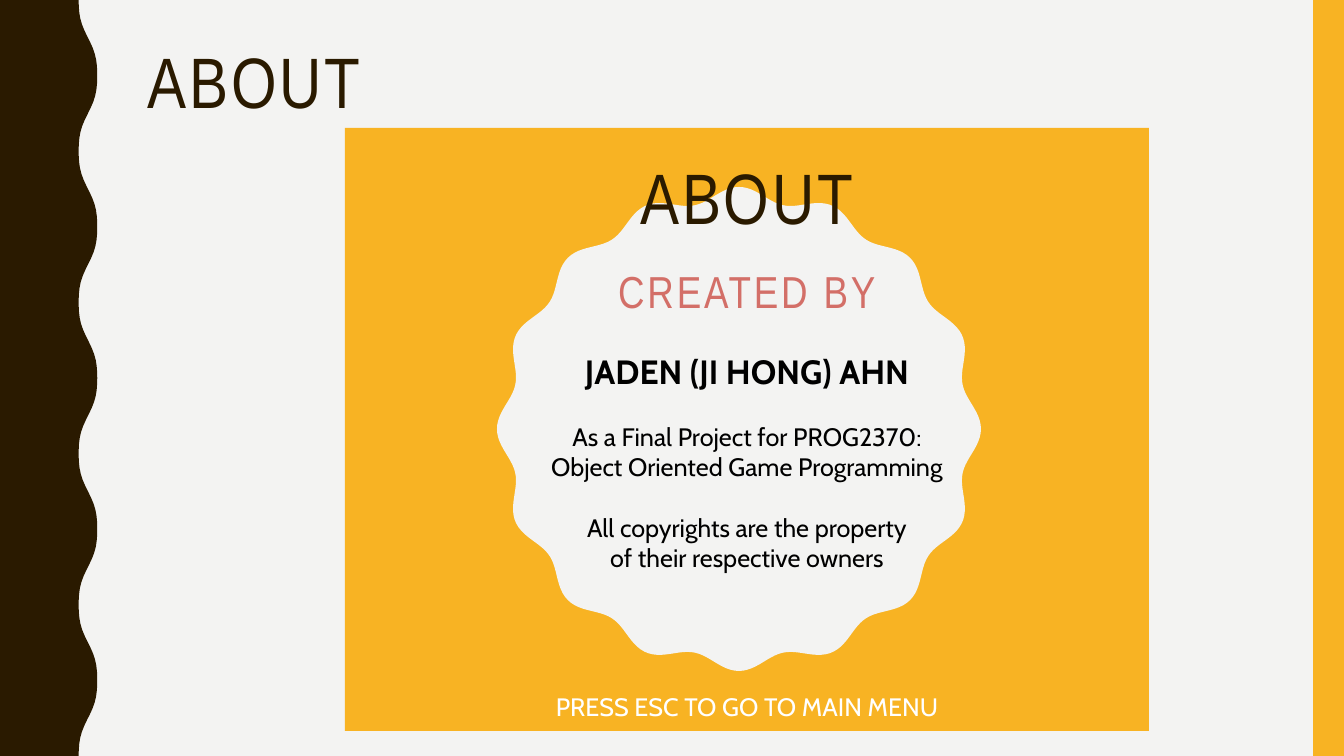
"""Build the About slide: wavy side band, yellow game screen and scalloped badge."""
import math
from pptx import Presentation
from pptx import util as u
from pptx.dml.color import RGBColor
from pptx.enum import shapes, text

WIDTH, HEIGHT = 1344, 756
SCALE = 12192000 / WIDTH
BROWN, YELLOW, PAPER = "2A1A00", "F8B323", "F3F3F2"
CORAL, BLACK, WHITE = "D36F68", "000000", "FFFFFF"

STYLES = {
    "heading": dict(name="Arial Narrow", size=51, color=BROWN, spacing=200, line=0.9),
    "subheading": dict(name="Arial Narrow", size=32, color=CORAL, spacing=200, line=0.9),
    "author": dict(name="Cabin", size=24, color=BLACK, bold=True),
    "body": dict(name="Cabin", size=18, color=BLACK),
    "gap body": dict(name="Cabin", size=18, color=BLACK, before=21.6),
    "prompt": dict(name="Cabin", size=18, color=WHITE),
}
SCREEN = (345, 128, 804, 603)
SIDE_BAR = (1313, 0, 31, HEIGHT)
SCREEN_TEXTS = [
    (158, 96, [("ABOUT", "heading")]),
    (346, 234, [
        ("JADEN (JI HONG) AHN", "author"),
        ("As a Final Project for PROG2370:", "gap body"),
        ("Object Oriented Game Programming", "body"),
        ("All copyrights are the property", "gap body"),
        ("of their respective owners", "body"),
    ]),
    (265, 78, [("CREATED BY", "subheading")]),
    (686, 40, [("PRESS ESC TO GO TO MAIN MENU", "prompt")]),
]
TITLE = ((138, 42, 1122, 164), [("ABOUT", "heading")])
WAVES, WAVE_MIDDLE, WAVE_DEPTH = 5, 88, 10
PETALS, BADGE_CENTER, BADGE_RADIUS, PETAL_DEPTH = 16, (739, 429), 235, 7


def emu(*pixels):
    return [round(pixel * SCALE) for pixel in pixels]


def rgb(value):
    return RGBColor.from_string(value)


def paint(shape, color):
    shape.shadow.inherit = False
    shape.fill.solid()
    shape.fill.fore_color.rgb = rgb(color)
    shape.line.fill.background()


def add_rectangle(page, place, color):
    paint(page.shapes.add_shape(shapes.MSO_SHAPE.RECTANGLE, *emu(*place)), color)


def add_outline(page, points, color):
    builder = page.shapes.build_freeform(*emu(*points[0]), scale=1.0)
    builder.add_line_segments([emu(*point) for point in points[1:]], close=True)
    paint(builder.convert_to_shape(), color)


def add_text(page, place, lines, align):
    frame = page.shapes.add_textbox(*emu(*place)).text_frame
    frame.word_wrap = True
    for index, (words, style) in enumerate(lines):
        look = STYLES[style]
        para = frame.add_paragraph() if index else frame.paragraphs[0]
        layout = {
            "alignment": align,
            "line_spacing": look.get("line"),
            "space_before": u.Pt(look.get("before", 0)),
        }
        for name, value in layout.items():
            setattr(para, name, value)
        span = para.add_run()
        span.text = words
        font = {"name": look["name"], "size": u.Pt(look["size"]), "bold": look.get("bold", False)}
        for name, value in font.items():
            setattr(span.font, name, value)
        span.font.color.rgb = rgb(look["color"])
        if "spacing" in look:
            span.font._element.set("spc", str(look["spacing"]))


def wave_point(y):
    turn = 2 * math.pi * WAVES * y / HEIGHT
    return WAVE_MIDDLE - WAVE_DEPTH * math.cos(turn) + 0.7 * math.cos(3 * turn), y


def badge_point(degrees):
    angle = math.radians(degrees)
    radius = BADGE_RADIUS + PETAL_DEPTH * math.cos(PETALS * angle)
    x, y = BADGE_CENTER
    return x + radius * math.cos(angle), y + radius * math.sin(angle)


deck = Presentation()
deck.slide_width, deck.slide_height = emu(WIDTH, HEIGHT)
page = deck.slides.add_slide(deck.slide_layouts[6])
page.background.fill.solid()
page.background.fill.fore_color.rgb = rgb(PAPER)

wave = [wave_point(y) for y in range(0, HEIGHT + 1, 6)]
add_outline(page, [(0, 0), *wave, (0, HEIGHT)], BROWN)
add_rectangle(page, SIDE_BAR, YELLOW)
add_rectangle(page, SCREEN, YELLOW)
add_outline(page, [badge_point(degrees) for degrees in range(360)], PAPER)

left, _, width, _ = SCREEN
for top, height, lines in SCREEN_TEXTS:
    add_text(page, (left, top, width, height), lines, text.PP_ALIGN.CENTER)
add_text(page, *TITLE, text.PP_ALIGN.LEFT)

deck.save("out.pptx")
